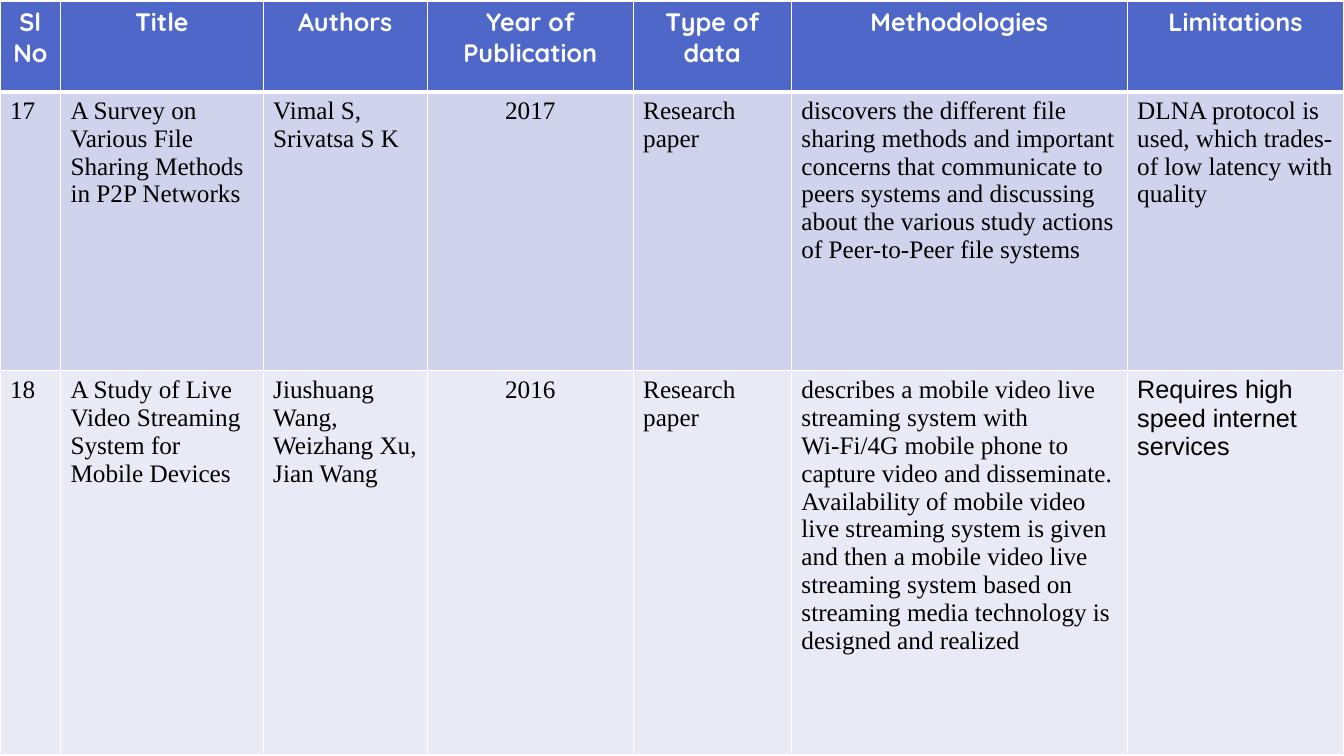
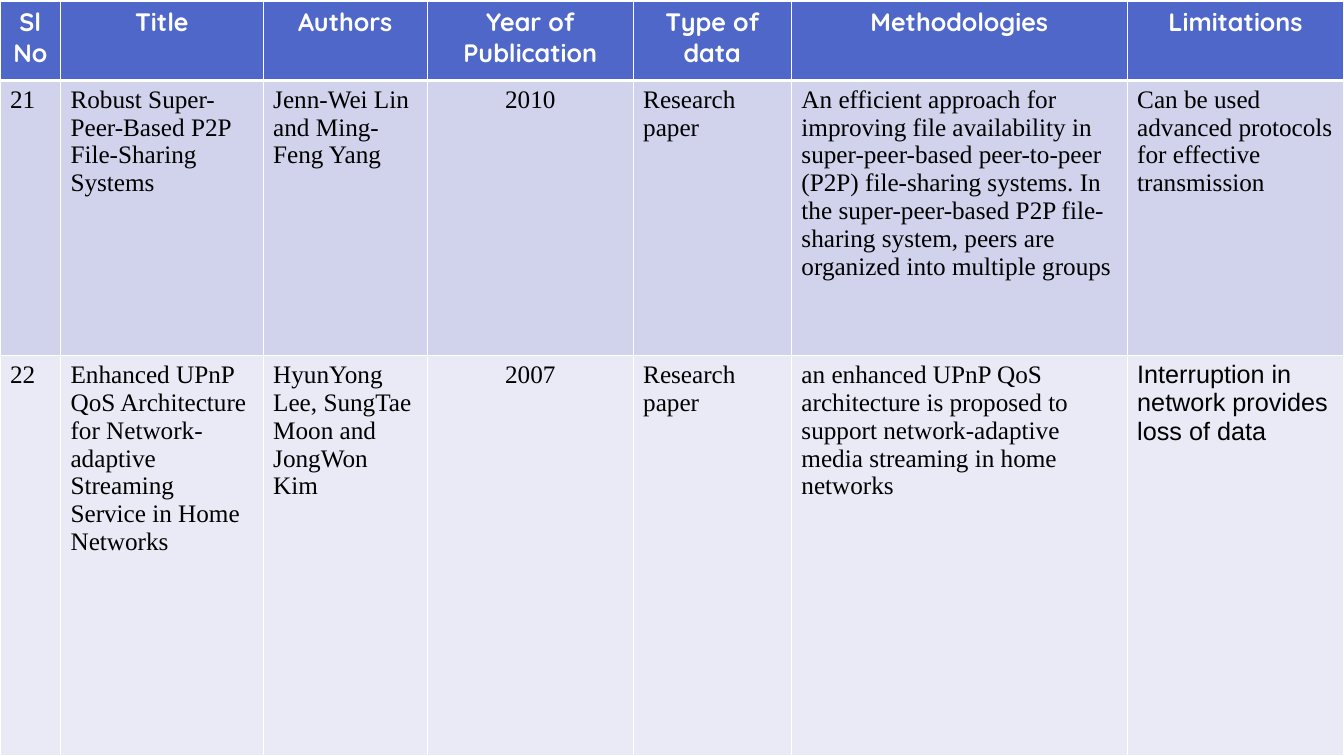
from dataclasses import dataclass

from pptx import Presentation
from pptx import util as u
from pptx.dml.color import RGBColor
from pptx.enum import text
from pptx.oxml import parse_xml
from pptx.oxml.ns import nsdecls


@dataclass(frozen=True)
class Theme:
    header_fill: str = "4E67C8"
    row_fills: tuple = ("D0D3EB", "E9EAF5")
    background: tuple = ("FFFFFF", "B9B9B9")
    rule: str = "FFFFFF"
    header_ink: str = "FFFFFF"
    ink: str = "000000"
    header_font: str = "Quicksand"
    body_font: str = "Times New Roman"
    remark_font: str = "Arial"
    size: int = 18
    thin: float = 0.96
    thick: float = 3


theme = Theme()

HEADINGS = ["Sl No", "Title", "Authors", "Year of Publication", "Type of data",
            "Methodologies", "Limitations"]
COLUMN_WIDTHS = [0.6, 2.01, 1.63, 2.04, 1.57, 3.33, 2.15]
YEAR = HEADINGS.index("Year of Publication")
LIMITATIONS = HEADINGS.index("Limitations")

SURVEYS = [
    ([0.9, 2.77, 3.81], [
        ["17", "A Survey on Various File Sharing Methods in P2P Networks",
         "Vimal S, Srivatsa S K", "2017", "Research paper",
         "discovers the different file sharing methods and important concerns that "
         "communicate to peers systems and discussing about the various study actions "
         "of Peer-to-Peer file systems",
         "DLNA protocol is used, which trades- of low latency with quality"],
        ["18", "A Study of Live Video Streaming System for Mobile Devices",
         "Jiushuang Wang, Weizhang Xu, Jian Wang", "2016", "Research paper",
         "describes a mobile video live streaming system with Wi-Fi/4G mobile phone to "
         "capture video and disseminate. Availability of mobile video live streaming "
         "system is given and then a mobile video live streaming system based on "
         "streaming media technology is designed and realized",
         "Requires high speed internet services"],
    ]),
    ([0.79, 2.73, 3.97], [
        ["21", "Robust Super-Peer-Based P2P File-Sharing Systems",
         "Jenn-Wei Lin and Ming-Feng Yang", "2010", "Research paper",
         "An efficient approach for improving file availability in super-peer-based "
         "peer-to-peer (P2P) file-sharing systems. In the super-peer-based P2P "
         "file-sharing system, peers are organized into multiple groups",
         "Can be used advanced protocols for effective transmission"],
        ["22", "Enhanced UPnP QoS Architecture for Network-adaptive Streaming Service "
         "in Home Networks",
         "HyunYong Lee, SungTae Moon and JongWon Kim", "2007", "Research paper",
         "an enhanced UPnP QoS architecture is proposed to support network-adaptive "
         "media streaming in home networks",
         "Interruption in network provides loss of data"],
    ]),
]


def add_borders(cell, top, bottom):
    properties = cell._tc.get_or_add_tcPr()
    for side, points in zip("LRTB", (theme.thin, theme.thin, top, bottom)):
        properties.append(parse_xml(
            f'<a:ln{side} {nsdecls("a")} w="{u.Pt(points)}"><a:solidFill>'
            f'<a:srgbClr val="{theme.rule}"/></a:solidFill></a:ln{side}>'))


def fill_cell(cell, wording, fill, font_name, ink, bold, centred):
    cell.fill.solid()
    cell.fill.fore_color.rgb = RGBColor.from_string(fill)
    cell.text_frame.text = wording
    paragraph = cell.text_frame.paragraphs[0]
    paragraph.alignment = text.PP_ALIGN.CENTER if centred else text.PP_ALIGN.LEFT
    font = paragraph.runs[0].font
    font.name = font_name
    font.size = u.Pt(theme.size)
    font.bold = bold
    font.color.rgb = RGBColor.from_string(ink)


prs = Presentation()
prs.slide_width = u.Inches(13.33)
prs.slide_height = u.Inches(7.5)

backdrop = prs.slide_master.background.fill
backdrop.gradient()
backdrop.gradient_angle = 270
for stop, colour, position in zip(backdrop.gradient_stops, theme.background, (0, 1)):
    stop.color.rgb = RGBColor.from_string(colour)
    stop.position = position

for row_heights, papers in SURVEYS:
    slide = prs.slides.add_slide(prs.slide_layouts[6])
    survey = slide.shapes.add_table(
        len(row_heights), len(HEADINGS), u.Inches(0), u.Inches(0.01),
        u.Inches(sum(COLUMN_WIDTHS)), u.Inches(sum(row_heights))).table
    for column, width in zip(survey.columns, COLUMN_WIDTHS):
        column.width = u.Inches(width)
    for row, height in zip(survey.rows, row_heights):
        row.height = u.Inches(height)

    for c, heading in enumerate(HEADINGS):
        cell = survey.cell(0, c)
        add_borders(cell, theme.thin, theme.thick)
        fill_cell(cell, heading, theme.header_fill, theme.header_font,
                  theme.header_ink, True, True)

    for r, (paper, fill) in enumerate(zip(papers, theme.row_fills), start=1):
        for c, wording in enumerate(paper):
            cell = survey.cell(r, c)
            add_borders(cell, theme.thick if r == 1 else theme.thin, theme.thin)
            is_remark = r == len(papers) and c == LIMITATIONS
            fill_cell(cell, wording, fill,
                      theme.remark_font if is_remark else theme.body_font,
                      theme.ink, False, c == YEAR)

prs.save("out.pptx")
